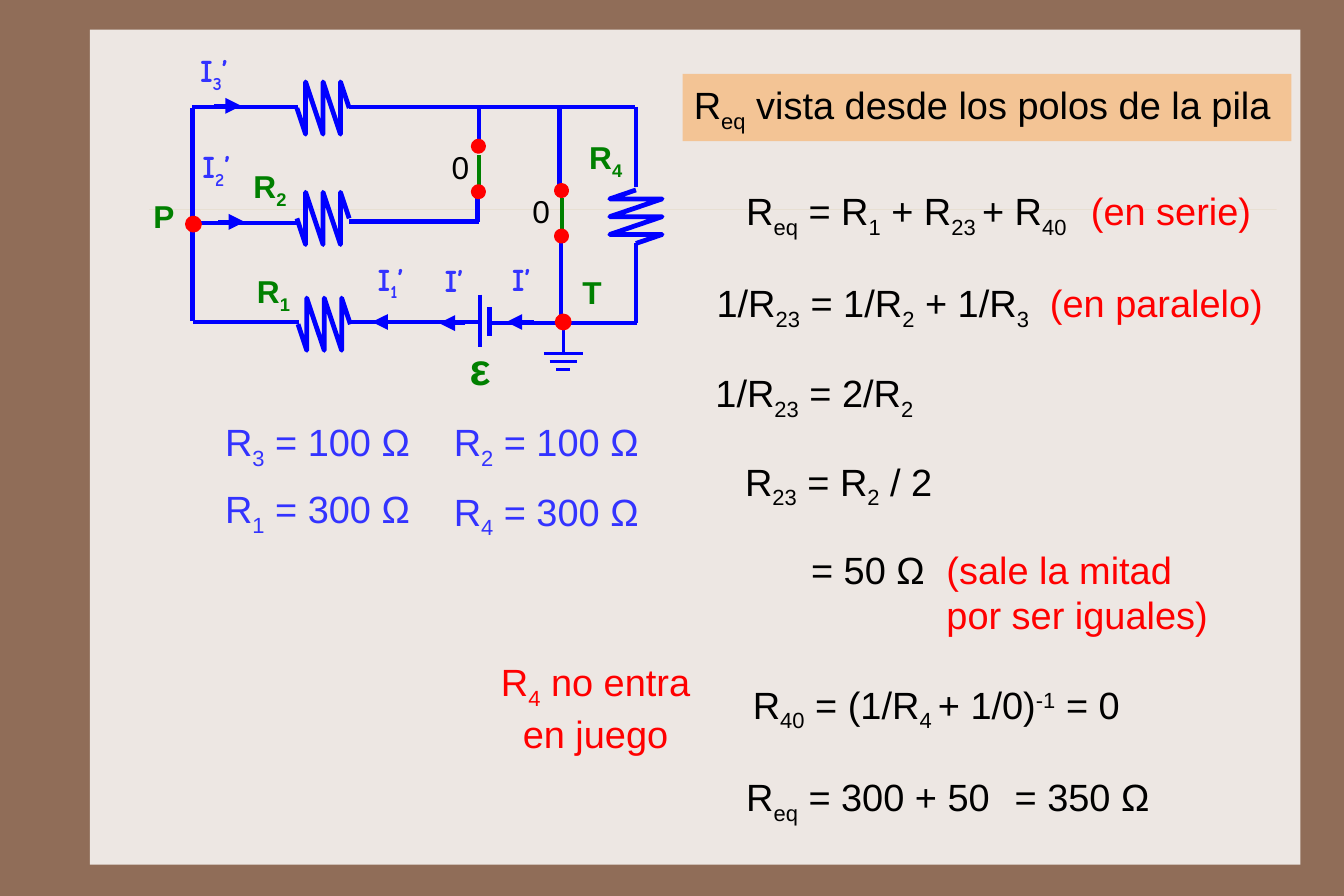
from lxml.etree import SubElement
from pptx import Presentation
from pptx.dml.color import RGBColor
from pptx.enum.shapes import MSO_CONNECTOR as CONNECTOR, MSO_SHAPE as SHAPE
from pptx.enum.text import MSO_AUTO_SIZE as AUTO_SIZE, PP_ALIGN as ALIGN
from pptx.oxml.ns import qn
from pptx.util import Inches, Pt

BLACK, RED, GREEN = "000000", "FF0000", "008000"
WIRE, VIOLET = "0000FF", "3333FF"
BASELINES = {"_": "-25000", "^": "30000"}
rgb = RGBColor.from_string

deck = Presentation()
deck.slide_width, deck.slide_height = Inches(189 / 16), Inches(63 / 8)
slide = deck.slides.add_slide(deck.slide_layouts[6])
slide.background.fill.solid()
slide.background.fill.fore_color.rgb = rgb("906D58")
shapes = slide.shapes


def draw_line(start, end, color=WIRE, width=3, arrow=False, alpha=None):
    line = shapes.add_connector(CONNECTOR.STRAIGHT, *map(Inches, start + end))
    line.line.color.rgb = rgb(color)
    line.line.width = Pt(width)
    properties = line._element.spPr
    stroke = properties.find(qn("a:ln"))
    if alpha:
        tint = stroke.find(qn("a:solidFill")).find(qn("a:srgbClr"))
        SubElement(tint, qn("a:alpha"), val=str(alpha * 1000))
    if arrow:
        SubElement(stroke, qn("a:tailEnd"), type="triangle", w="lg", len="lg")
    SubElement(properties, qn("a:effectLst"))


def write(box, lines, size=24, color=BLACK, font="Arial", bold=False,
          align=ALIGN.LEFT, wrap=False, tab=None):
    """Fill a box; "|" splits runs, a leading _ lowers, ^ raises, # reddens."""
    frame = box.text_frame
    frame.margin_left = frame.margin_right = Inches(0.1)
    frame.margin_top = frame.margin_bottom = Inches(0.09)
    frame.word_wrap = wrap
    frame.auto_size = AUTO_SIZE.SHAPE_TO_FIT_TEXT
    for number, text in enumerate(lines.split("\n")):
        paragraph = frame.add_paragraph() if number else frame.paragraphs[0]
        paragraph.alignment = align
        if tab:
            stops = SubElement(paragraph._p.get_or_add_pPr(), qn("a:tabLst"))
            SubElement(stops, qn("a:tab"), pos=str(Inches(tab)), algn="l")
        for part in text.split("|"):
            mark = part[0]
            run = paragraph.add_run()
            run.text = part[1:] if mark in "_^#" else part
            run.font.name, run.font.size, run.font.bold = font, Pt(size), bold
            run.font.color.rgb = rgb(RED if mark == "#" else color)
            if mark in BASELINES:
                run._r.get_or_add_rPr().set("baseline", BASELINES[mark])


# Panel and heading
for place, fill, heading in [
    ((0.79, 0.26, 10.64, 7.34), "EDE7E3", None),
    ((6, 0.65, 5.35, 0.59), "F3C495", "R|_eq| vista desde los polos de la pila"),
]:
    panel = shapes.add_shape(SHAPE.RECTANGLE, *map(Inches, place))
    panel.shadow.inherit = False
    panel.fill.solid()
    panel.fill.fore_color.rgb = rgb(fill)
    panel.line.fill.background()
    if heading:
        write(panel, heading)
    else:
        draw_line((1.31, 1.84), (11.22, 1.84), "CBBD83", 0.25, alpha=25)

# Equations
for left, top, width, height, equation, tab in [
    (6.46, 1.56, 4.89, 0.59, "R|_eq| = R|_1| + R|_23 |+ R|_40|#\t(en serie)", 3.03),
    (6.2, 2.37, 5.21, 0.59, "1/R|_23| = 1/R|_2| + 1/R|_3|#\t(en paralelo)", 2.93),
    (6.19, 3.16, 2, 0.59, "1/R|_23| = 2/R|_2", None),
    (6.45, 3.94, 1.91, 0.59, "R|_23| = R|_2| / 2", None),
    (7.03, 4.71, 3.79, 0.99, "= 50 Ω|#\t(sale la mitad\n#\tpor ser iguales)", 1.19),
    (6.46, 6.71, 2.39, 0.59, "R|_eq| = 300 + 50", None),
    (8.82, 6.71, 1.4, 0.59, "= 350 Ω", None),
]:
    box = shapes.add_textbox(*map(Inches, (left, top, width, height)))
    write(box, equation, tab=tab)

box = shapes.add_textbox(*map(Inches, (6.46, 5.9, 3.54, 0.59)))
write(box, "R|_40| = (1/R|_4 |+ 1/0)|^-1| = 0", align=ALIGN.CENTER)
box = shapes.add_textbox(*map(Inches, (4.15, 5.7, 2.17, 0.99)))
write(box, "R|_4| no entra en juego", color=RED, align=ALIGN.CENTER, wrap=True)

# Given resistances
for left, top, index, ohms in [
    (1.88, 3.59, 3, 100), (3.89, 3.59, 2, 100),
    (1.88, 4.18, 1, 300), (3.89, 4.2, 4, 300),
]:
    box = shapes.add_textbox(*map(Inches, (left, top, 1.86, 0.59)))
    write(box, f"R|_{index}| = {ohms} Ω", color=VIOLET)

# Circuit wires and battery plates
for start, end in [
    ((1.69, 0.95), (1.69, 2.82)),
    ((2.62, 0.94), (1.69, 0.94)), ((3.07, 0.94), (5.58, 0.94)),
    ((2.61, 1.96), (1.68, 1.96)), ((4.21, 1.95), (3.07, 1.95)),
    ((2.63, 2.83), (1.7, 2.83)), ((4.22, 2.83), (3.08, 2.83)),
    ((5.6, 2.84), (4.31, 2.84)),
    ((4.21, 0.94), (4.21, 1.25)), ((4.2, 1.64), (4.2, 1.95)),
    ((4.92, 1.64), (4.92, 0.94)), ((4.93, 2.13), (4.93, 2.83)),
    ((5.59, 0.94), (5.59, 1.64)), ((5.59, 2.14), (5.59, 2.84)),
    ((4.22, 2.59), (4.22, 3.05)), ((4.3, 2.7), (4.3, 2.95)),
]:
    draw_line(start, end)

# Closed switches
draw_line((4.21, 1.64), (4.21, 1.36), GREEN)
draw_line((4.94, 2.02), (4.94, 1.74), GREEN)

# Resistors
zigzag = [(0, 0)]
for tooth in (1, 3, 5):
    zigzag += [(tooth, 1), (tooth, -1), (tooth + 1, 0)]
for x, y, upright in [
    (2.61, 0.95, False), (2.61, 1.92, False), (2.62, 2.85, False),
    (5.59, 1.67, True),
]:
    points = [
        (Inches(x - 0.23 * across), Inches(y + 0.47 * along / 6)) if upright
        else (Inches(x + 0.46 * along / 6), Inches(y + 0.23 * across))
        for along, across in zigzag
    ]
    outline = shapes.build_freeform(*points[0])
    outline.add_line_segments(points[1:], close=False)
    resistor = outline.convert_to_shape()
    resistor.shadow.inherit = False
    resistor.fill.background()
    resistor.line.color.rgb = rgb(WIRE)
    resistor.line.width = Pt(3)

# Ground
draw_line((4.95, 2.84), (4.95, 3.1), width=2)
for level, half in enumerate((0.17, 0.12, 0.06)):
    y = 3.11 + 0.07 * level
    draw_line((4.95 - half, y), (4.95 + half, y), width=2)

# Switch terminals and nodes
for left, top, size, width in [
    (4.16, 1.24, 0.09, 3), (4.16, 1.64, 0.09, 3),
    (4.89, 1.63, 0.09, 3), (4.89, 2.03, 0.09, 3),
    (1.64, 1.91, 0.12, 2), (4.89, 2.77, 0.12, 2),
]:
    node = shapes.add_shape(SHAPE.OVAL, *map(Inches, (left, top, size, size)))
    node.shadow.inherit = False
    node.fill.solid()
    node.fill.fore_color.rgb = node.line.color.rgb = rgb(RED)
    node.line.width = Pt(width)

# Current arrows
for start, end in [
    ((1.88, 0.93), (2.12, 0.93)), ((1.92, 1.95), (2.15, 1.95)),
    ((3.51, 2.83), (3.27, 2.83)), ((4.09, 2.84), (3.86, 2.84)),
    ((4.69, 2.83), (4.45, 2.83)),
]:
    draw_line(start, end, width=2, arrow=True)

# Circuit labels
for left, top, width, label, size, color, font, bold in [
    (2.16, 2.3, 0.5, "R|_1", 20, GREEN, "Arial", True),
    (2.13, 1.38, 0.5, "R|_2", 20, GREEN, "Arial", True),
    (5.08, 1.12, 0.5, "R|_4", 20, GREEN, "Arial", True),
    (1.25, 1.64, 0.38, "P", 20, GREEN, "Arial", True),
    (5.02, 2.31, 0.37, "T", 20, GREEN, "Arial", True),
    (4.03, 2.91, 0.4, "ε", 28, GREEN, "Arial", True),
    (3.87, 1.21, 0.35, "0", 20, BLACK, "Arial", False),
    (4.58, 1.6, 0.35, "0", 20, BLACK, "Arial", False),
    (3.22, 2.19, 0.52, "I|_1|’", 20, VIOLET, "Comic Neue", True),
    (1.68, 1.2, 0.52, "I|_2|’", 20, VIOLET, "Comic Neue", True),
    (1.66, 0.36, 0.52, "I|_3|’", 20, VIOLET, "Comic Neue", True),
    (3.81, 2.2, 0.41, "I’", 20, VIOLET, "Comic Neue", True),
    (4.4, 2.19, 0.41, "I’", 20, VIOLET, "Comic Neue", True),
]:
    box = shapes.add_textbox(*map(Inches, (left, top, width, 0.51)))
    write(box, label, size, color, font, bold)

deck.save("out.pptx")
